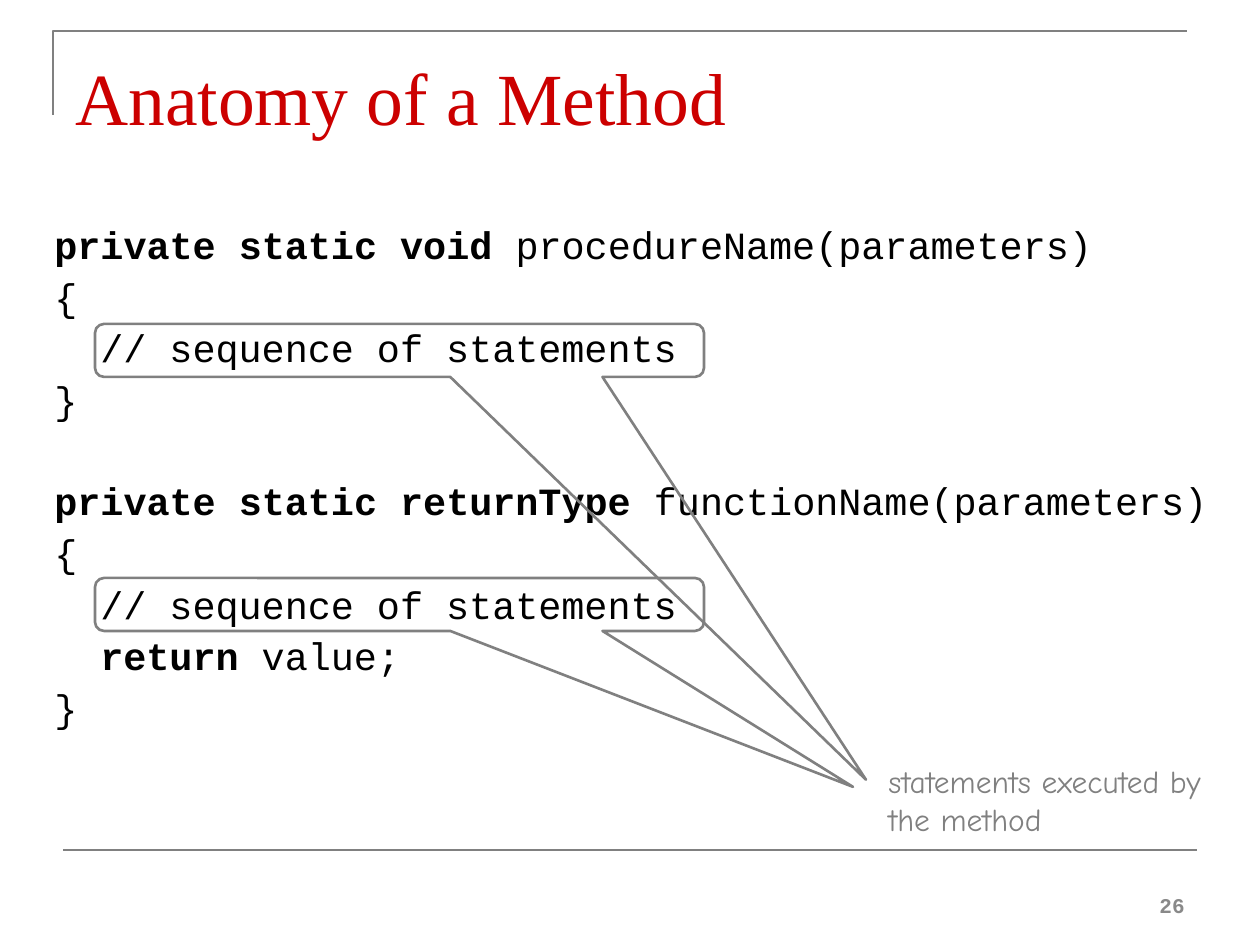
from pptx import Presentation
from pptx.dml.color import RGBColor
from pptx.enum.shapes import MSO_CONNECTOR, MSO_SHAPE
from pptx.enum.text import MSO_ANCHOR, PP_ALIGN
from pptx.oxml.ns import qn
from pptx.util import Emu, Pt
from lxml import etree

STRAIGHT = MSO_CONNECTOR.STRAIGHT
CALLOUT = MSO_SHAPE.ROUNDED_RECTANGULAR_CALLOUT
TOP, BOTTOM = MSO_ANCHOR.TOP, MSO_ANCHOR.BOTTOM
LEFT, RIGHT = PP_ALIGN.LEFT, PP_ALIGN.RIGHT

COLORS = {"rule": "808080", "title": "CC0000", "code": "000000", "number": "898989"}
CODE_FONT = "Courier New"
LINE_GAP = 5.8
BLANK_LINE_GAP = 34
CODE_INDENT = 46

# Each line: bold part, plain part, indent level, space before
CODE = [
    ("private static void", " procedureName(parameters)", 0, LINE_GAP),
    ("", "{", 0, LINE_GAP),
    ("", "// sequence of statements", 1, LINE_GAP),
    ("", "}", 0, LINE_GAP),
    ("private static returnType", " functionName(parameters)", 0, BLANK_LINE_GAP),
    ("", "{", 0, LINE_GAP),
    ("", "// sequence of statements", 1, LINE_GAP),
    ("return", " value;", 1, LINE_GAP),
    ("", "}", 0, LINE_GAP),
]


def px(value):
    return Emu(round(value * 914400 / 126))


def color(name):
    return RGBColor.from_string(COLORS[name])


def style_line(line):
    line.color.rgb = color("rule")
    line.width = Pt(1.5)


def add_frame(page, box, anchor=TOP, wrap=True):
    frame = page.shapes.add_textbox(*map(px, box)).text_frame
    frame.word_wrap = wrap
    frame.vertical_anchor = anchor
    return frame


def add_span(para, text, font, size, fill, bold=False):
    span = para.add_run()
    span.text = text
    span.font.name = font
    span.font.size = Pt(size)
    span.font.bold = bold
    span.font.color.rgb = color(fill)


def add_text(page, box, lines, align=LEFT, anchor=TOP, wrap=True, **style):
    frame = add_frame(page, box, anchor, wrap)
    for index, line in enumerate(lines):
        para = frame.add_paragraph() if index else frame.paragraphs[0]
        para.alignment = align
        add_span(para, line, **style)


def add_corner(page, box):
    """Draw the left and top edges of the box as one open outline."""
    left, top, width, height = box
    builder = page.shapes.build_freeform(px(left), px(top + height))
    builder.add_line_segments(
        [(px(left), px(top)), (px(left + width), px(top))], close=False)
    corner = builder.convert_to_shape()
    corner.shadow.inherit = False
    corner.fill.background()
    style_line(corner.line)


def add_rule(page, left, top, width):
    rule = page.shapes.add_connector(
        STRAIGHT, px(left), px(top), px(left + width), px(top))
    style_line(rule.line)
    etree.SubElement(rule._element.spPr, qn("a:effectLst"))


def add_code(page, box):
    frame = add_frame(page, box)
    for index, (bold, plain, level, gap) in enumerate(CODE):
        para = frame.add_paragraph() if index else frame.paragraphs[0]
        para.line_spacing = 0.9
        para.space_before = Pt(gap)
        para._p.get_or_add_pPr().set("marL", str(px(level * CODE_INDENT)))
        if bold:
            add_span(para, bold, CODE_FONT, 22, "code", bold=True)
        add_span(para, plain, CODE_FONT, 22, "code")


def add_callout(page, box, tip):
    left, top, width, height = box
    callout = page.shapes.add_shape(CALLOUT, *map(px, box))
    callout.shadow.inherit = False
    callout.fill.background()
    style_line(callout.line)
    callout.adjustments[0] = (tip[0] - left - width / 2) / width
    callout.adjustments[1] = (tip[1] - top - height / 2) / height
    callout.adjustments[2] = 0.17


def add_explanation(page, box):
    """Box the statements in both methods and point them at a shared note."""
    left, top, width, height = box
    for offset, tip in ((0, (771, 456)), (254, (758, 463))):
        add_callout(page, (left, top + offset, 609, 53),
                    (left + tip[0], top + tip[1]))
    add_text(page, (left + 781, top + 432, width - 781, height - 432),
             ["statements executed by", "the method"], wrap=False,
             font="Comic Neue", size=18, fill="rule")


def main():
    deck = Presentation()
    deck.slide_width, deck.slide_height = px(1260), px(945)
    page = deck.slides.add_slide(deck.slide_layouts[6])
    add_corner(page, (53, 31, 1134, 84))
    add_rule(page, 63, 850, 1134)
    add_text(page, (63, 46, 1134, 150), ["Anatomy of a Method"],
             font="Times New Roman", size=42, fill="title")
    add_code(page, (42, 220, 1197, 620))
    add_text(page, (903, 861, 294, 63), ["26"], align=RIGHT, anchor=BOTTOM,
             font=CODE_FONT, size=12, fill="number", bold=True)
    add_explanation(page, (95, 324, 1164, 520))
    deck.save("out.pptx")


if __name__ == "__main__":
    main()
